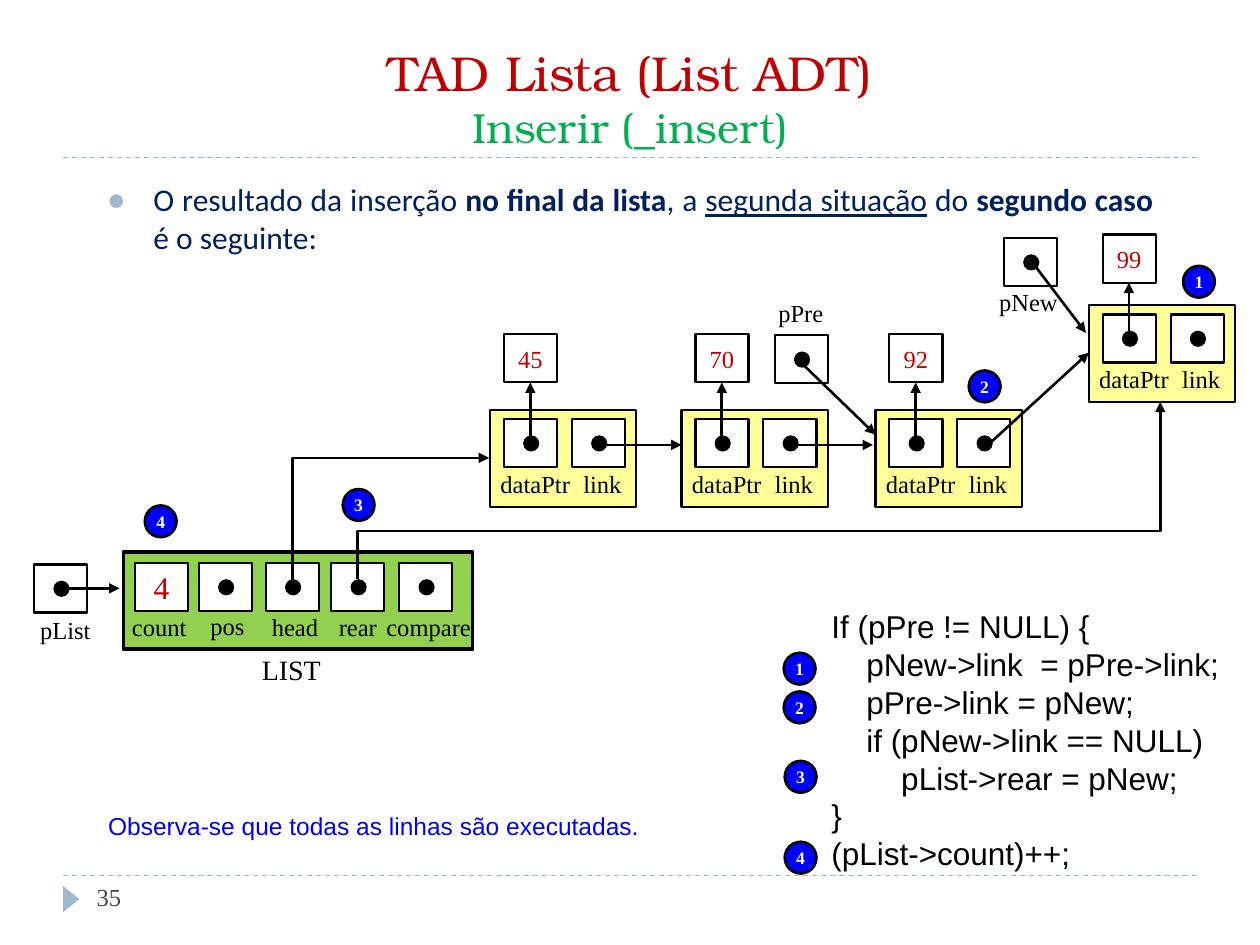
"""Build the slide on inserting a node at the end of a linked list."""
from lxml.etree import SubElement
from pptx import Presentation
from pptx.dml.color import RGBColor
from pptx.enum.dml import MSO_LINE
from pptx.enum.shapes import MSO_CONNECTOR, MSO_SHAPE
from pptx.enum.text import MSO_ANCHOR, MSO_AUTO_SIZE, PP_ALIGN
from pptx.oxml.ns import qn
from pptx.util import Cm, Pt

BLACK = RGBColor(0x00, 0x00, 0x00)
WHITE = RGBColor(0xFF, 0xFF, 0xFF)
RED = RGBColor(0xC0, 0x00, 0x00)
GREEN = RGBColor(0x00, 0xB0, 0x50)
LIME = RGBColor(0x92, 0xD0, 0x50)
CREAM = RGBColor(0xFF, 0xFF, 0x99)
BLUE = RGBColor(0x00, 0x00, 0xFF)
NAVY = RGBColor(0x00, 0x20, 0x60)
STEEL = RGBColor(0x9F, 0xB8, 0xCD)
SLATE = RGBColor(0x46, 0x46, 0x53)
SERIF = "Times New Roman"
SIDE, TALL = 1.07, 0.97

deck = Presentation()
deck.slide_width, deck.slide_height = Cm(25.4), Cm(19.05)
slide = deck.slides.add_slide(deck.slide_layouts[1])
shapes = slide.shapes


def write(para, text, font=SERIF, size=14, color=BLACK, bold=False, under=False):
    run = para.add_run()
    run.text = text
    run.font.name, run.font.size = font, Pt(size)
    run.font.color.rgb = color
    run.font.bold, run.font.underline = bold, under


def draw(kind, x, y, w, h, text="", fill=WHITE, edge=1.25, wrap=True, **style):
    place = [Cm(v) for v in (x, y, w, h)]
    if kind is None:
        shape = shapes.add_textbox(*place)
    else:
        shape = shapes.add_shape(kind, *place)
        shape.shadow.inherit = False
        shape.fill.solid()
        shape.fill.fore_color.rgb = fill
        if edge:
            shape.line.color.rgb = BLACK
            shape.line.width = Pt(edge)
        else:
            shape.line.fill.background()
    frame = shape.text_frame
    frame.word_wrap = wrap
    if kind is None:
        frame.auto_size = MSO_AUTO_SIZE.SHAPE_TO_FIT_TEXT
    else:
        frame.vertical_anchor = MSO_ANCHOR.MIDDLE
    for spot, row in enumerate(text.split("\n") if text else []):
        para = frame.add_paragraph() if spot else frame.paragraphs[0]
        para.alignment = PP_ALIGN.LEFT if kind is None else PP_ALIGN.CENTER
        write(para, row, **style)
    return shape


title = shapes.title
title.left, title.top, title.width, title.height = Cm(1.27), Cm(0.64), Cm(22.86), Cm(2.54)
title.text_frame.auto_size = MSO_AUTO_SIZE.NONE
title.text_frame.vertical_anchor = MSO_ANCHOR.BOTTOM
para = title.text_frame.paragraphs[0]
para.alignment = PP_ALIGN.CENTER
write(para, "TAD Lista (List ADT)", font="TeX Gyre Bonum", size=28, color=RED)
para.add_line_break()
write(para, "Inserir (_insert)", font="TeX Gyre Bonum", size=24, color=GREEN)

body = slide.placeholders[1]
body.left, body.top, body.width, body.height = Cm(1.9), Cm(3.51), Cm(21.6), Cm(1.88)
body.text_frame.auto_size = MSO_AUTO_SIZE.NONE
para = body.text_frame.paragraphs[0]
para.alignment = PP_ALIGN.JUSTIFY
para.space_before = Pt(0)
for text, bold, under in [
    ("O resultado da inserção ", False, False),
    ("no final da lista", True, False),
    (", a ", False, False),
    ("segunda situação", False, True),
    (" do ", False, False),
    ("segundo caso", True, False),
    (" é o seguinte:", False, False),
]:
    write(para, text, font="Calibri", size=18, color=NAVY, bold=bold, under=under)
props = para._p.get_or_add_pPr()
props.set("marL", str(Cm(0.94)))
props.set("indent", str(Cm(-0.94)))
tint = SubElement(props, qn("a:buClr"))
SubElement(tint, qn("a:srgbClr")).set("val", str(STEEL))
SubElement(props, qn("a:buChar")).set("char", "●")

draw(MSO_SHAPE.ISOSCELES_TRIANGLE, 1.17, 17.96, 0.53, 0.33, fill=STEEL, edge=0).rotation = 90
draw(None, 1.7, 17.65, 5.5, 1.02, "35", color=SLATE)

wires = [
    (1.22, 11.86, 2.41, 11.86, "arrow"),
    (16.21, 7.37, 17.65, 8.76, "arrow"),
    (20.88, 5.38, 21.89, 6.71, "arrow"),
    (19.84, 9.04, 21.95, 7.11, "arrow"),
    (6.65, 8.48, 9.11, 12.44, "bentConnector2"),
    (13.51, 1.8, 17.09, 17.98, "bentConnector3"),
    (1.27, 3.18, 24.13, 3.18, "rule"),
    (1.27, 17.65, 24.13, 17.65, "rule"),
]

draw(MSO_SHAPE.RECTANGLE, 2.49, 11.13, 7.04, 1.96, fill=LIME, edge=2)
draw(MSO_SHAPE.RECTANGLE, 2.72, 11.35, SIDE, TALL, "4", size=18, color=RED)
cells = [(x, 11.35) for x in (4.01, 5.36, 6.68, 8.05)]
cells += [(0.69, 11.38), (15.62, 6.76), (20.24, 4.8)]
labels = [
    ("count", 2.41, 12.22, 1.63), ("pos", 3.99, 12.19, 1.22), ("head", 5.23, 12.22, 1.45),
    ("rear", 6.58, 12.22, 1.3), ("compare", 7.54, 12.22, 2.24), ("pList", 0.56, 12.27, 1.55),
    ("pPre", 15.44, 5.89, 1.42), ("pNew", 19.89, 5.66, 1.7),
]
for value, x, y, rise in [
    ("45", 9.88, 8.26, 1.52), ("70", 13.74, 8.26, 1.52),
    ("92", 17.65, 8.26, 1.52), ("99", 21.95, 6.15, 1.42),
]:
    draw(MSO_SHAPE.RECTANGLE, x, y, 2.95, 1.96, fill=CREAM)
    draw(MSO_SHAPE.RECTANGLE, x + 0.28, y - rise, SIDE, TALL, value, color=RED)
    cells += [(x + 0.28, y + 0.19), (x + 1.65, y + 0.19)]
    labels += [("dataPtr", x - 0.04, y + 1.07, 1.93), ("link", x + 1.63, y + 1.07, 1.3)]
    wires.append((x + 0.81, y + 0.53, x + 0.81, y - rise + TALL, "arrow"))
    if value in ("45", "70"):
        wires.append((x + 2.29, y + 0.71, x + 3.86, y + 0.71, "arrow"))

for x, y in cells:
    draw(MSO_SHAPE.RECTANGLE, x, y, SIDE, TALL)
    draw(MSO_SHAPE.OVAL, x + 0.4, y + 0.34, 0.3, 0.3, fill=BLACK, edge=0.75)
for text, x, y, w in labels:
    draw(None, x, y, w, 0.86, text, wrap=False)
draw(None, 5.03, 13.03, 1.73, 0.94, "LIST", size=16, wrap=False)

for x, y, end, foot, kind in wires:
    bent = kind.startswith("bent")
    form = MSO_CONNECTOR.ELBOW if bent else MSO_CONNECTOR.STRAIGHT
    wire = shapes.add_connector(form, Cm(x), Cm(y), Cm(end), Cm(foot))
    rule = kind == "rule"
    wire.line.color.rgb = STEEL if rule else BLACK
    wire.line.width = Pt(0.75 if rule else 1.5)
    props = wire._element.spPr
    if rule:
        wire.line.dash_style = MSO_LINE.DASH
    else:
        SubElement(props.find(qn("a:ln")), qn("a:tailEnd")).set("type", "triangle")
    if bent:
        props.find(qn("a:xfrm")).set("rot", "16200000")
        shape = props.find(qn("a:prstGeom"))
        shape.set("prst", kind)
        if kind == "bentConnector3":
            guide = SubElement(shape.find(qn("a:avLst")), qn("a:gd"))
            guide.set("name", "adj1")
            guide.set("fmla", "val 27300")
    SubElement(props, qn("a:effectLst"))

code = """If (pPre != NULL) {
    pNew->link  = pPre->link;
    pPre->link = pNew;
    if (pNew->link == NULL)
        pList->rear = pNew;
}
(pList->count)++;"""
draw(None, 16.51, 12.12, 8.79, 5.64, code, font="Arial", size=18)
note = "Observa-se que todas as linhas são executadas."
draw(None, 1.93, 16.23, 11.71, 0.86, note, font="Arial", color=BLUE)

for text, x, y in [
    ("1", 15.8, 13.16), ("2", 15.8, 13.94), ("3", 15.82, 15.34), ("4", 15.82, 16.97),
    ("1", 23.85, 5.36), ("2", 19.53, 7.47), ("3", 6.91, 9.86), ("4", 2.92, 10.19),
]:
    draw(MSO_SHAPE.OVAL, x, y, 0.64, 0.64, text, fill=BLUE, edge=1.5,
         wrap=False, size=10, color=WHITE, bold=True)

deck.save("out.pptx")
